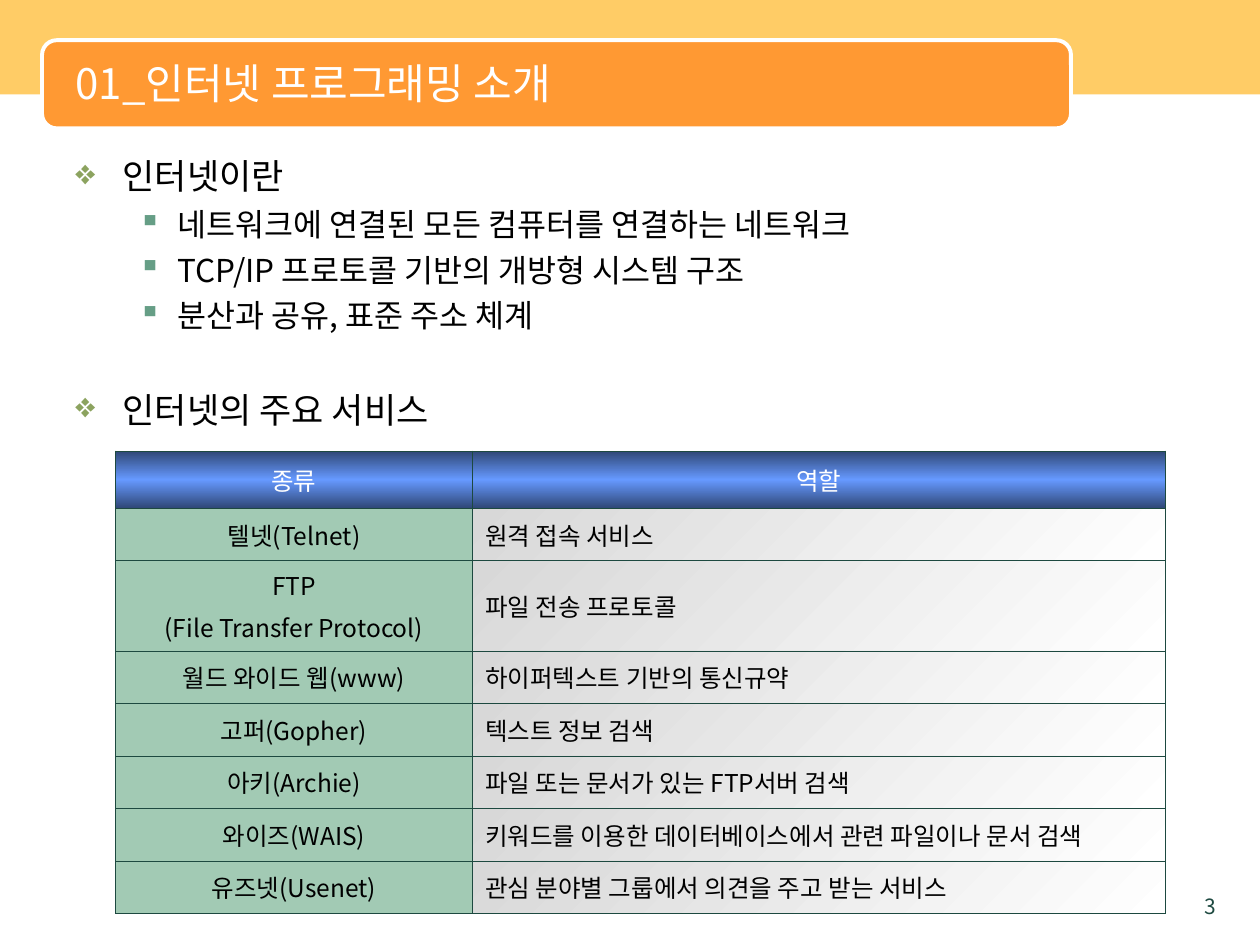
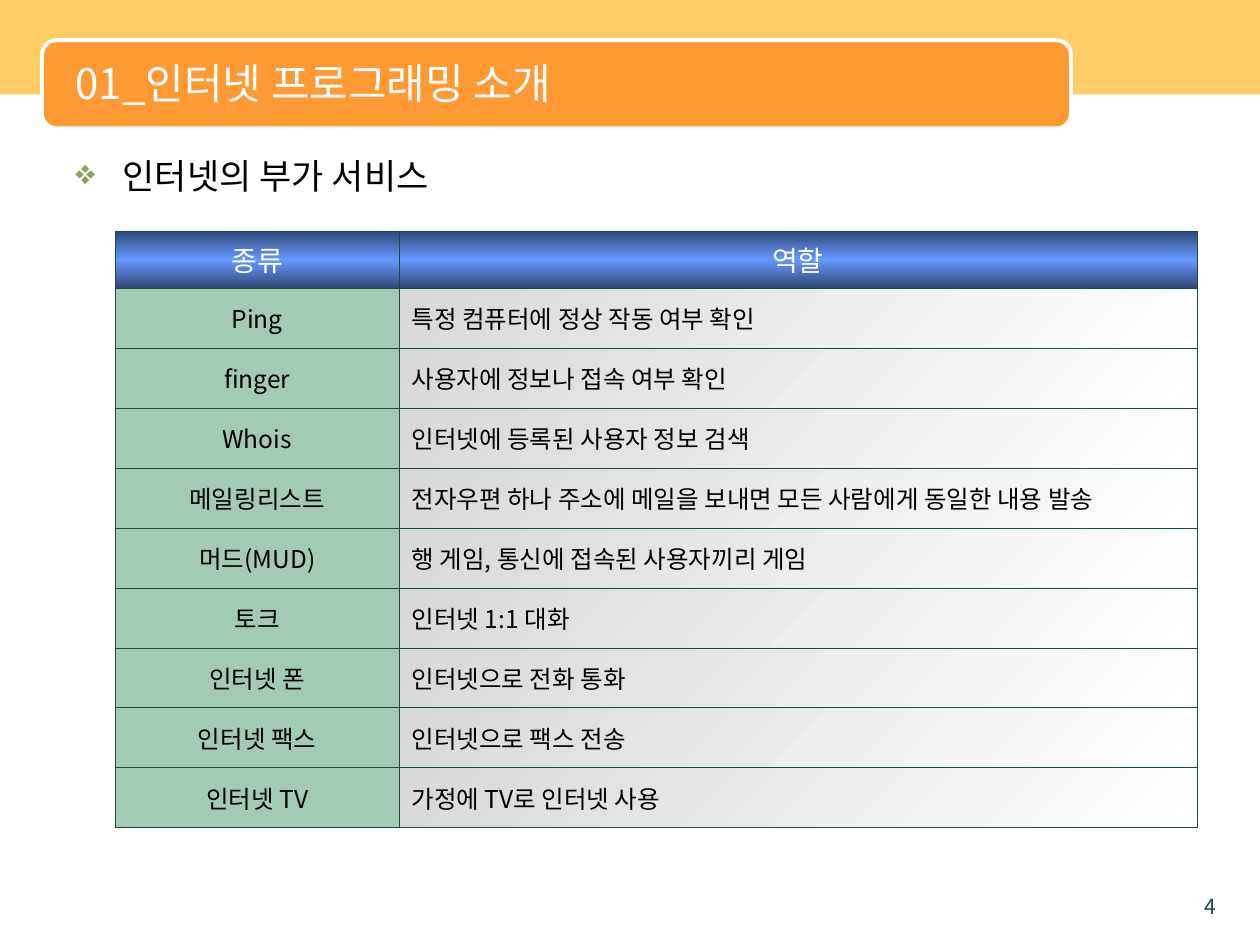
from lxml import etree
from pptx import Presentation
from pptx.dml.color import RGBColor
from pptx.enum.shapes import MSO_SHAPE
from pptx.enum.text import MSO_ANCHOR, PP_ALIGN
from pptx.oxml.ns import qn
from pptx.util import Pt

RECTANGLE, ROUNDED = MSO_SHAPE.RECTANGLE, MSO_SHAPE.ROUNDED_RECTANGLE
MIDDLE, TOP = MSO_ANCHOR.MIDDLE, MSO_ANCHOR.TOP
LEFT, CENTER, RIGHT = PP_ALIGN.LEFT, PP_ALIGN.CENTER, PP_ALIGN.RIGHT

FONT, BULLET_FONT = "Noto Sans CJK KR", "OpenSymbol"
WHITE, BLACK, DARK_GREEN = "FFFFFF", "000000", "1D4940"
BAND, TITLE_BOX, KIND_FILL = "FFCC66", "FF9933", "A2CAB4"
HEADER_GRADIENT = ([(0, "2F4776"), (50, "6699FF"), (100, "2F4776")], 90)
ROLE_GRADIENT = ([(0, "D8D8D8"), (100, WHITE)], 45)

# Bullet levels: character, colour, text size, left margin, hanging indent, space before
LEVELS = [("❖", "8CA35F", 20, 27, 27, 31.2),
          ("▪", "669E86", 18, 58.5, 22.5, 4.5)]

TITLE = "01_인터넷 프로그래밍 소개"
HEADINGS = ("종류", "역할")


def color(hex_string):
    return RGBColor.from_string(hex_string)


def add_child(parent, tag, **attributes):
    child = etree.SubElement(parent, qn(tag))
    for name, value in attributes.items():
        child.set(name, str(value))
    return child


def write(paragraph, text, size=14, fill=BLACK, align=LEFT, before=0):
    paragraph.alignment = align
    paragraph.space_before = Pt(before)
    run = paragraph.add_run()
    run.text = text
    run.font.size = Pt(size)
    run.font.color.rgb = color(fill)
    run.font.name = FONT
    # Same face for Korean text, without pair kerning
    properties = run.font._element
    properties.set("kern", "0")
    add_child(properties, "a:ea", typeface=FONT)


def add_solid(parent, hex_string):
    add_child(add_child(parent, "a:solidFill"), "a:srgbClr", val=hex_string)


def add_gradient(parent, stops, angle):
    gradient = add_child(parent, "a:gradFill", rotWithShape=1)
    stop_list = add_child(gradient, "a:gsLst")
    for position, hex_string in stops:
        stop = add_child(stop_list, "a:gs", pos=position * 1000)
        add_child(stop, "a:srgbClr", val=hex_string)
    add_child(gradient, "a:lin", ang=angle * 60000, scaled=0)


class Deck:
    def __init__(self):
        self.presentation = Presentation()
        self.presentation.slide_width = Pt(720)
        self.presentation.slide_height = Pt(540)
        self.slide = None

    def start_slide(self, title, number):
        layout = self.presentation.slide_layouts[5]
        self.slide = self.presentation.slides.add_slide(layout)
        self.shape(RECTANGLE, 0, 0, 720, 54, BAND)
        self.shape(ROUNDED, 24, 23, 588, 50.4, TITLE_BOX, line=WHITE)
        self.title(title)
        self.page_number(number)

    def shape(self, kind, left, top, width, height, fill, line=None):
        shape = self.slide.shapes.add_shape(
            kind, Pt(left), Pt(top), Pt(width), Pt(height))
        shape.shadow.inherit = False
        shape.fill.solid()
        shape.fill.fore_color.rgb = color(fill)
        if line:
            shape.line.color.rgb = color(line)
            shape.line.width = Pt(2.25)
        else:
            shape.line.fill.background()

    def title(self, text):
        title = self.slide.shapes.title
        title.left, title.top = Pt(36), Pt(25.2)
        title.width, title.height = Pt(570), Pt(44.6)
        title.text_frame.vertical_anchor = MIDDLE
        write(title.text_frame.paragraphs[0], text, size=24, fill=WHITE)
        # Bring the title in front of the bands
        title.element.getparent().append(title.element)

    def text_box(self, left, top, width, height):
        box = self.slide.shapes.add_textbox(
            Pt(left), Pt(top), Pt(width), Pt(height))
        box.text_frame.word_wrap = True
        box.text_frame.vertical_anchor = TOP
        return box.text_frame

    def page_number(self, number):
        frame = self.text_box(666, 507, 36, 15)
        write(frame.paragraphs[0], str(number), size=12,
              fill=DARK_GREEN, align=RIGHT)

    def bullets(self, items):
        frame = self.text_box(36, 85, 654, 413)
        for index, (level, text) in enumerate(items):
            mark, mark_color, size, margin, hanging, before = LEVELS[level]
            paragraph = frame.add_paragraph() if index else frame.paragraphs[0]
            paragraph.level = level
            properties = paragraph._p.get_or_add_pPr()
            properties.set("marL", str(Pt(margin)))
            properties.set("indent", str(-Pt(hanging)))
            add_child(add_child(properties, "a:buClr"), "a:srgbClr", val=mark_color)
            add_child(properties, "a:buFont", typeface=BULLET_FONT)
            add_child(properties, "a:buChar", char=mark)
            write(paragraph, text, size=size, before=before if index else 0)

    def table(self, top, widths, heights, rows, header_size):
        table = self.slide.shapes.add_table(
            len(rows) + 1, len(widths), Pt(66), Pt(top),
            Pt(sum(widths)), Pt(sum(heights))).table
        table.first_row = table.horz_banding = False
        for column, width in zip(table.columns, widths):
            column.width = Pt(width)
        for row, height in zip(table.rows, heights):
            row.height = Pt(height)
        for row_index, texts in enumerate([HEADINGS, *rows]):
            for column_index, text in enumerate(texts):
                cell = table.cell(row_index, column_index)
                if row_index == 0:
                    self.cell(cell, text, HEADER_GRADIENT, CENTER, header_size, WHITE)
                elif column_index == 0:
                    self.cell(cell, text, KIND_FILL, CENTER)
                else:
                    self.cell(cell, text, ROLE_GRADIENT, LEFT)

    def cell(self, cell, text, fill, align, size=14, text_color=BLACK):
        cell.vertical_anchor = MIDDLE
        cell.margin_left = cell.margin_right = Pt(7.2)
        cell.margin_top = cell.margin_bottom = Pt(3.6)
        for index, line in enumerate(text.split("\n")):
            frame = cell.text_frame
            paragraph = frame.add_paragraph() if index else frame.paragraphs[0]
            write(paragraph, line, size=size, fill=text_color, align=align,
                  before=3.5 if index else 0)
        properties = cell._tc.get_or_add_tcPr()
        for side in ("L", "R", "T", "B"):
            add_solid(add_child(properties, f"a:ln{side}", w=Pt(0.45)), DARK_GREEN)
        if isinstance(fill, str):
            add_solid(properties, fill)
        else:
            add_gradient(properties, *fill)


def main():
    deck = Deck()

    # Main internet services
    deck.start_slide(TITLE, 3)
    deck.bullets([
        (0, "인터넷이란"),
        (1, "네트워크에 연결된 모든 컴퓨터를 연결하는 네트워크"),
        (1, "TCP/IP 프로토콜 기반의 개방형 시스템 구조"),
        (1, "분산과 공유, 표준 주소 체계"),
        (0, "인터넷의 주요 서비스"),
    ])
    main_services = [
        ("텔넷(Telnet)", "원격 접속 서비스"),
        ("FTP\n(File Transfer Protocol)", "파일 전송 프로토콜"),
        ("월드 와이드 웹(www)", "하이퍼텍스트 기반의 통신규약"),
        ("고퍼(Gopher)", "텍스트 정보 검색"),
        ("아키(Archie)", "파일 또는 문서가 있는 FTP서버 검색"),
        ("와이즈(WAIS)", "키워드를 이용한 데이터베이스에서 관련 파일이나 문서 검색"),
        ("유즈넷(Usenet)", "관심 분야별 그룹에서 의견을 주고 받는 서비스"),
    ]
    deck.table(257.75, [204, 396], [32.75, 30, 51.5] + [30] * 5,
               main_services, header_size=14)

    # Additional internet services
    deck.start_slide(TITLE, 4)
    deck.bullets([(0, "인터넷의 부가 서비스")])
    extra_services = [
        ("Ping", "특정 컴퓨터에 정상 작동 여부 확인"),
        ("finger", "사용자에 정보나 접속 여부 확인"),
        ("Whois", "인터넷에 등록된 사용자 정보 검색"),
        ("메일링리스트", "전자우편 하나 주소에 메일을 보내면 모든 사람에게 동일한 내용 발송"),
        ("머드(MUD)", "행 게임, 통신에 접속된 사용자끼리 게임"),
        ("토크", "인터넷 1:1 대화"),
        ("인터넷 폰", "인터넷으로 전화 통화"),
        ("인터넷 팩스", "인터넷으로 팩스 전송"),
        ("인터넷 TV", "가정에 TV로 인터넷 사용"),
    ]
    deck.table(132, [162, 456], [32.75] + [34.25] * len(extra_services),
               extra_services, header_size=16)

    deck.presentation.save("out.pptx")


if __name__ == "__main__":
    main()
